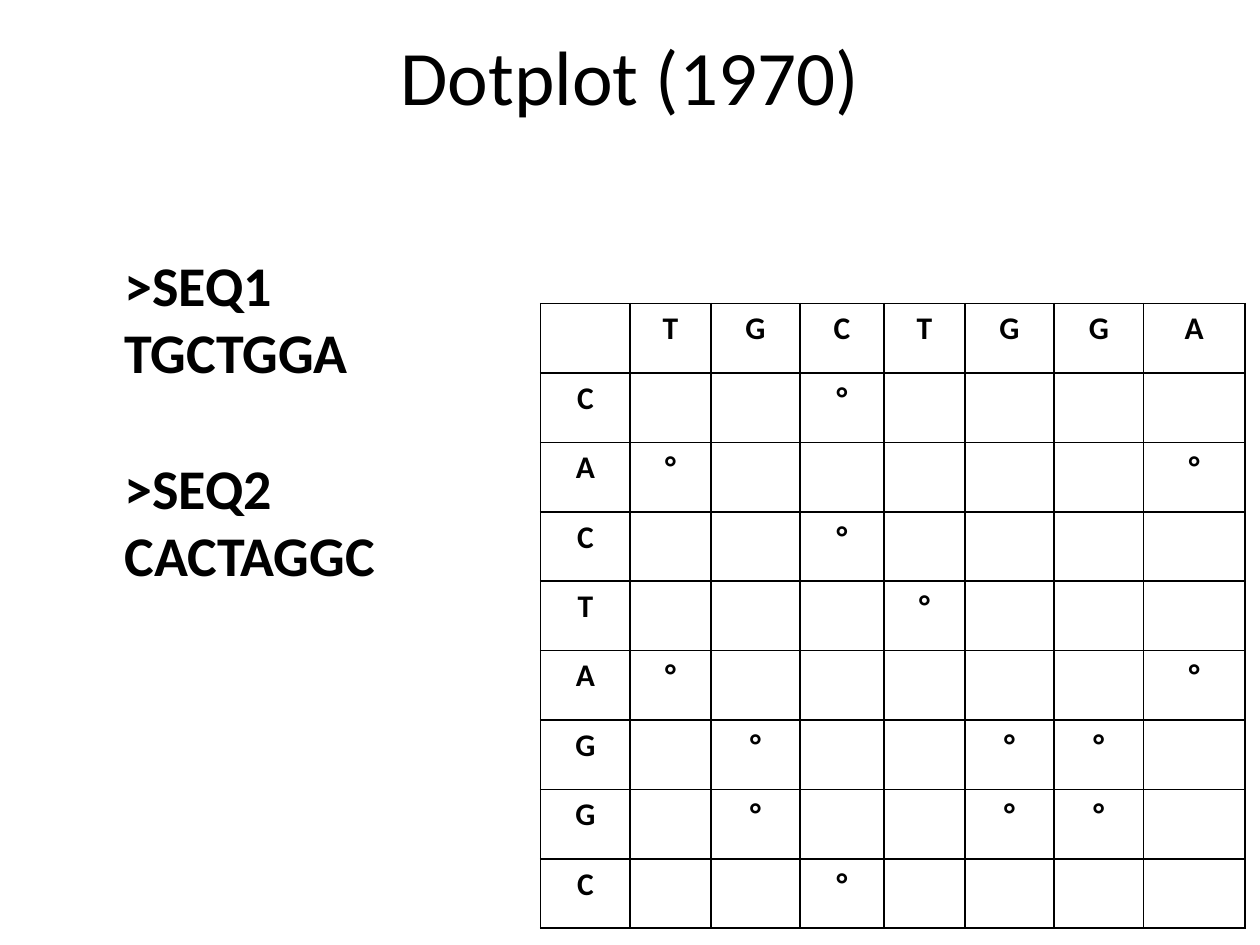
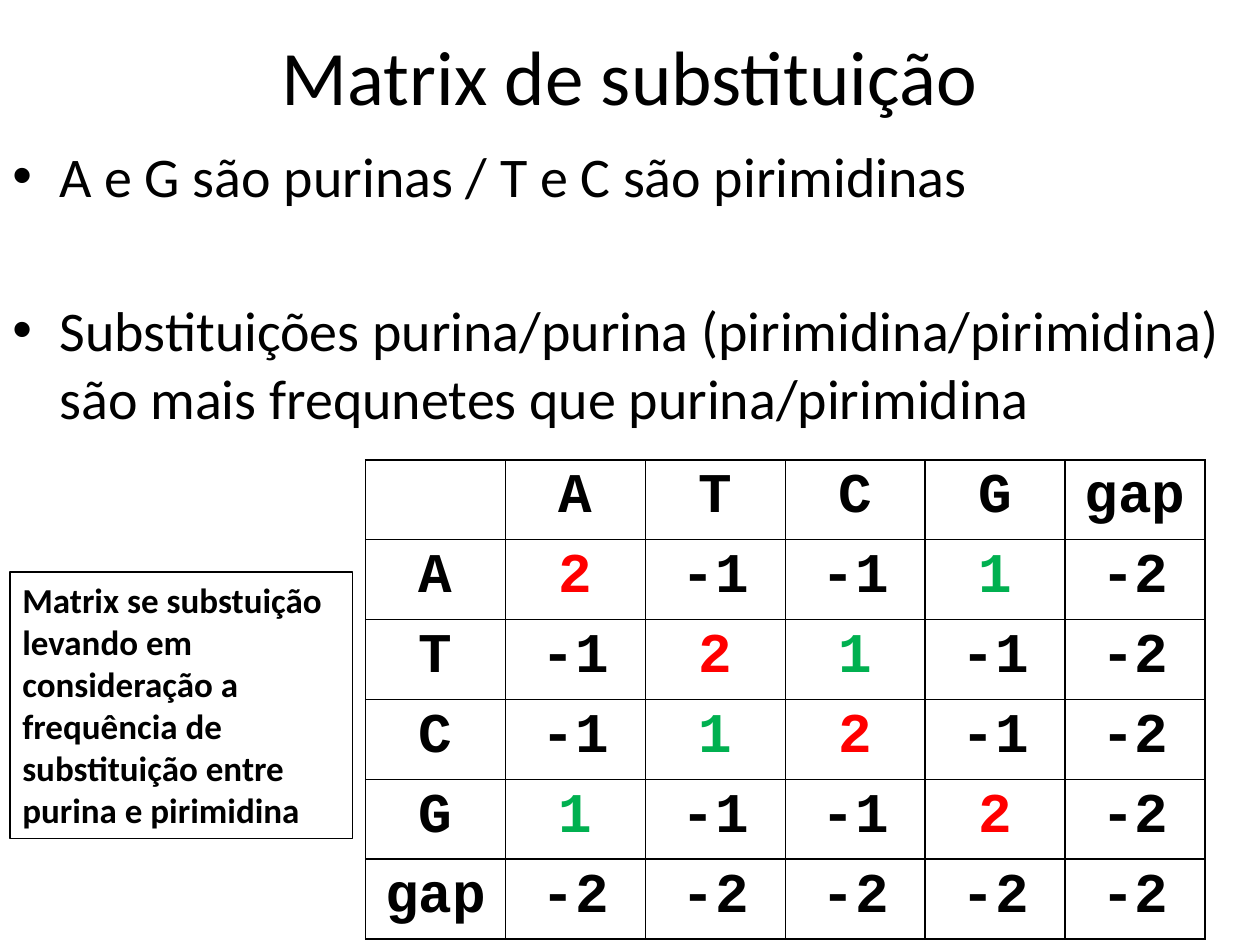
"""Build two slides on sequence alignment: a dotplot and a substitution matrix."""
from dataclasses import dataclass

from lxml import etree
from pptx import Presentation
from pptx.dml.color import RGBColor
from pptx.enum.shapes import MSO_SHAPE
from pptx.enum.text import MSO_ANCHOR, PP_ALIGN
from pptx.oxml.ns import qn
from pptx.slide import Slide
from pptx.text.text import TextFrame
from pptx.util import Cm, Pt

CENTER, LEFT = PP_ALIGN.CENTER, PP_ALIGN.LEFT
MIDDLE, TOP = MSO_ANCHOR.MIDDLE, MSO_ANCHOR.TOP
RECTANGLE = MSO_SHAPE.RECTANGLE

COLORS = {"ink": "000000", "match": "FF0000", "transition": "00B050"}
FORMATS = {
    "title": {"name": "Calibri", "size": Pt(44), "bold": False},
    "body": {"name": "Calibri", "size": Pt(32), "bold": False},
    "sequence": {"name": "Calibri", "size": Pt(32), "bold": True},
    "caption": {"name": "Calibri", "size": Pt(20), "bold": True},
    "dot": {"name": "Calibri", "size": Pt(18), "bold": True},
    "score": {"name": "Courier New", "size": Pt(32), "bold": True},
}
SEQ1, SEQ2 = "TGCTGGA", "CACTAGGC"
DOT_COLUMNS = {"C": (2,), "T": (3,), "A": (0, 6), "G": (1, 4, 5)}
DOT_WIDTHS = (1.8, 1.63, 1.8, 1.69, 1.63, 1.8, 1.8, 2.05)
BASES = ("A", "T", "C", "G", "gap")
TRANSITIONS = ({"A", "G"}, {"T", "C"})
SCORE_COLORS = {"2": "match", "1": "transition"}


@dataclass(frozen=True)
class Box:
    """Place of an element, in centimetres."""
    left: float
    top: float
    width: float
    height: float

    def lengths(self) -> tuple[Cm, Cm, Cm, Cm]:
        """Return the four lengths as python-pptx expects them."""
        return Cm(self.left), Cm(self.top), Cm(self.width), Cm(self.height)


@dataclass(frozen=True)
class Line:
    """One paragraph, with the gap above it in points."""
    text: str
    gap: float = 0
    bullet: bool = False


@dataclass(frozen=True)
class Grid:
    """A table with its place, sizes in centimetres and text format."""
    left: float
    top: float
    widths: tuple[float, ...]
    row_height: float
    style: str
    rows: list[list[str]]


def write(frame: TextFrame, lines: list[Line], style: str,
          align: PP_ALIGN = LEFT, color: str = "ink") -> None:
    """Fill a text frame with paragraphs of one style."""
    for index, line in enumerate(lines):
        paragraph = frame.add_paragraph() if index else frame.paragraphs[0]
        paragraph.alignment = align
        paragraph.space_before = Pt(line.gap)
        run = paragraph.add_run()
        run.text = line.text
        for attribute, value in FORMATS[style].items():
            setattr(run.font, attribute, value)
        run.font.color.rgb = RGBColor.from_string(COLORS[color])
        if line.bullet:
            properties = paragraph._p.get_or_add_pPr()
            properties.set("marL", str(Cm(0.95)))
            properties.set("indent", str(-Cm(0.95)))
            etree.SubElement(properties, qn("a:buFont"), typeface="Arial")
            etree.SubElement(properties, qn("a:buChar"), char="•")


def add_text(slide: Slide, box: Box, lines: list[Line], style: str,
             align: PP_ALIGN = LEFT, anchor: MSO_ANCHOR = TOP) -> None:
    """Add a wrapping text box."""
    frame = slide.shapes.add_textbox(*box.lengths()).text_frame
    frame.word_wrap = True
    frame.vertical_anchor = anchor
    write(frame, lines, style, align)


def add_caption(slide: Slide, box: Box, text: str) -> None:
    """Add an outlined rectangle holding a caption."""
    caption = slide.shapes.add_shape(RECTANGLE, *box.lengths())
    caption.shadow.inherit = False
    caption.fill.background()
    caption.line.color.rgb = RGBColor.from_string(COLORS["ink"])
    caption.line.width = Pt(0.75)
    caption.text_frame.word_wrap = True
    caption.text_frame.vertical_anchor = TOP
    write(caption.text_frame, [Line(text)], "caption")


def add_grid(slide: Slide, grid: Grid) -> None:
    """Add an unfilled table with thin borders, colouring its scores."""
    box = Box(grid.left, grid.top, sum(grid.widths), grid.row_height * len(grid.rows))
    table = slide.shapes.add_table(len(grid.rows), len(grid.widths), *box.lengths()).table
    table.first_row = table.horz_banding = False
    for column, width in zip(table.columns, grid.widths):
        column.width = Cm(width)
    for row, texts in zip(table.rows, grid.rows):
        row.height = Cm(grid.row_height)
        for cell, text in zip(row.cells, texts):
            properties = cell._tc.get_or_add_tcPr()
            for side in "LRTB":
                border = etree.SubElement(properties, qn(f"a:ln{side}"), w=str(Pt(1)))
                fill = etree.SubElement(border, qn("a:solidFill"))
                etree.SubElement(fill, qn("a:srgbClr"), val=COLORS["ink"])
            cell.fill.background()
            if text:
                write(cell.text_frame, [Line(text)], grid.style, CENTER,
                      SCORE_COLORS.get(text, "ink"))


def score(first: str, second: str) -> str:
    """Return the substitution score of two symbols."""
    if "gap" in (first, second):
        return "-2"
    if first == second:
        return "2"
    return "1" if {first, second} in TRANSITIONS else "-1"


def add_titled_slide(deck: Presentation, title: str) -> Slide:
    """Add a blank slide with the shared title."""
    slide = deck.slides.add_slide(deck.slide_layouts[6])
    add_text(slide, Box(0, -0.08, 25.4, 3.18), [Line(title)], "title", CENTER, MIDDLE)
    return slide


def add_dotplot(deck: Presentation) -> None:
    """Add the dotplot slide."""
    slide = add_titled_slide(deck, "Dotplot (1970)")
    dots = [[base] + ["°" if column in DOT_COLUMNS[base] else ""
                      for column in range(len(SEQ1))] for base in SEQ2]
    add_grid(slide, Grid(10.9, 6.12, DOT_WIDTHS, 1.4, "dot", [["", *SEQ1], *dots]))
    add_text(slide, Box(2.26, 4.93, 5.8, 9.83),
             [Line(">SEQ1"), Line(SEQ1), Line(">SEQ2", 39), Line(SEQ2)], "sequence")


def add_substitution_matrix(deck: Presentation) -> None:
    """Add the substitution matrix slide."""
    slide = add_titled_slide(deck, "Matrix de substituição")
    add_text(slide, Box(0, 2.72, 25.4, 14.73), [
        Line("A e G são purinas / T e C são pirimidinas", bullet=True),
        Line("Substituições purina/purina (pirimidina/pirimidina) "
             "são mais frequnetes que purina/pirimidina", 50, True),
    ], "body")
    scores = [[base] + [score(base, other) for other in BASES] for base in BASES]
    add_grid(slide, Grid(7.37, 9.27, (2.82,) * 6, 1.53, "score", [["", *BASES], *scores]))
    add_caption(slide, Box(0.2, 11.53, 6.91, 5.38),
                "Matrix se substuição levando em consideração a frequência "
                "de substituição entre purina e pirimidina")


def main() -> None:
    """Build and save the deck."""
    deck = Presentation()
    deck.slide_width, deck.slide_height = Cm(25.4), Cm(19.05)
    add_dotplot(deck)
    add_substitution_matrix(deck)
    deck.save("out.pptx")


if __name__ == "__main__":
    main()
